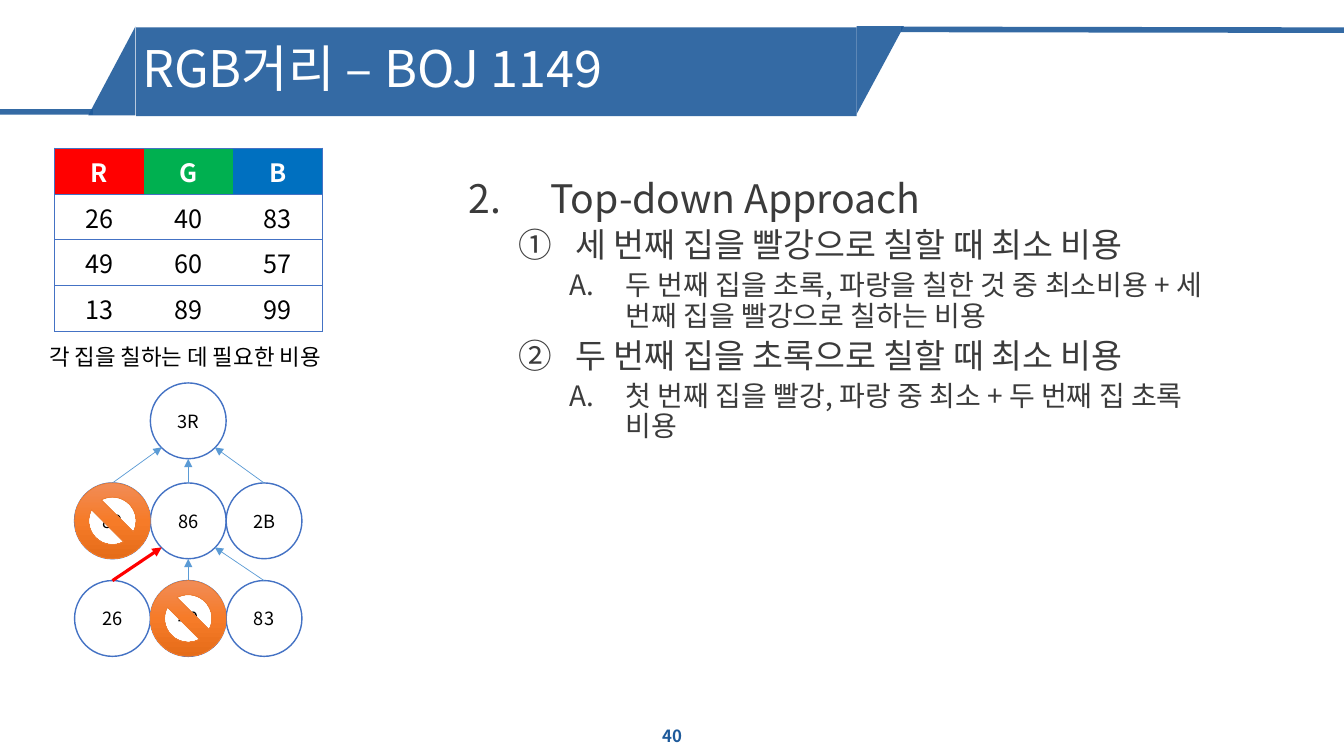
from lxml.etree import SubElement
from pptx import Presentation
from pptx.dml.color import RGBColor
from pptx.enum.shapes import MSO_CONNECTOR, MSO_SHAPE
from pptx.enum.text import MSO_ANCHOR, PP_ALIGN
from pptx.oxml.ns import qn
from pptx.util import Cm, Pt

FONT = "Noto Sans CJK KR"
NAVY = RGBColor(0x1E, 0x5A, 0x9B)
BLUE = RGBColor(0x44, 0x72, 0xC4)
SKY = RGBColor(0x5B, 0x9B, 0xD5)
RED = RGBColor(0xFF, 0x00, 0x00)
GREEN = RGBColor(0x00, 0xB0, 0x50)
AZURE = RGBColor(0x00, 0x70, 0xC0)
ORANGE = RGBColor(0xED, 0x7D, 0x31)
GRAY = RGBColor(0x3B, 0x3B, 0x3B)
BLACK = RGBColor(0x00, 0x00, 0x00)
WHITE = RGBColor(0xFF, 0xFF, 0xFF)
GLOW = {
    0: RGBColor(0xF1, 0x8C, 0x57),
    50: RGBColor(0xF6, 0x7B, 0x28),
    100: RGBColor(0xE5, 0x6C, 0x19),
}

SIZE = 1.91
LEFT = 1.88
TOPS = [9.65, 12.17, 14.63]
NODES = [(0, 1, "3R"), (1, 0, "89"), (1, 1, "86"), (1, 2, "2B"),
         (2, 1, "40"), (2, 0, "26"), (2, 2, "83")]
COSTS = [["R", "G", "B"], ["26", "40", "83"],
         ["49", "60", "57"], ["13", "89", "99"]]
HEADS = [RED, GREEN, AZURE]
LEVELS = [("arabicPeriod", 2.06, 2.06, 28),
          ("circleNumDbPlain", 2.69, 1.42, 24),
          ("alphaUcPeriod", 3.96, 1.42, 20)]
STEPS = [
    (0, "Top-down Approach"),
    (1, "세 번째 집을 빨강으로 칠할 때 최소 비용"),
    (2, "두 번째 집을 초록, 파랑을 칠한 것 중 최소비용 + 세 번째 집을 빨강으로 칠하는 비용"),
    (1, "두 번째 집을 초록으로 칠할 때 최소 비용"),
    (2, "첫 번째 집을 빨강, 파랑 중 최소 + 두 번째 집 초록 비용"),
]


def write(para, text, size=18, color=BLACK, bold=False, align=PP_ALIGN.LEFT, lead=None):
    """Put formatted text in a paragraph."""
    para.alignment = align
    if lead:
        para.line_spacing = lead
    run = para.add_run()
    run.text = text
    font = run.font
    font.size, font.bold, font.name = Pt(size), bold, FONT
    font.color.rgb = color
    SubElement(run._r.get_or_add_rPr(), qn("a:ea"), typeface=FONT)


def fade(shape):
    """Make the colours of a shape ten percent transparent."""
    for tint in shape.element.spPr.iter(qn("a:srgbClr")):
        SubElement(tint, qn("a:alpha"), val="90000")


def add_box(slide, box, anchor=MSO_ANCHOR.TOP):
    """Add a wrapping text box and return its frame."""
    frame = slide.shapes.add_textbox(*map(Cm, box)).text_frame
    frame.word_wrap = True
    frame.vertical_anchor = anchor
    return frame


def add_form(slide, kind, box, fill=None, line=None, width=1, turn=0):
    """Add a preset shape without shadow."""
    form = slide.shapes.add_shape(kind, *map(Cm, box))
    form.shadow.inherit = False
    form.rotation = turn
    if fill is not None:
        form.fill.solid()
        form.fill.fore_color.rgb = fill
    if line is None:
        form.line.fill.background()
    else:
        form.line.color.rgb = line
        form.line.width = Pt(width)
    return form


def add_line(slide, start, end, color, width, arrow=False):
    """Add a straight line, with an arrowhead if asked."""
    line = slide.shapes.add_connector(MSO_CONNECTOR.STRAIGHT, *map(Cm, start + end))
    line.line.color.rgb = color
    line.line.width = Pt(width)
    if arrow:
        SubElement(line.line._get_or_add_ln(), qn("a:tailEnd"), type="triangle")
    SubElement(line.element.spPr, qn("a:effectLst"))
    return line


def add_banner(slide):
    """Draw the title band with its slanted ends."""
    parts = [
        add_form(slide, MSO_SHAPE.RIGHT_TRIANGLE, (21.08, 1.17, 2.21, 1.19), NAVY, turn=90),
        add_line(slide, (2.34, 2.82), (0, 2.82), NAVY, 4),
        add_form(slide, MSO_SHAPE.RIGHT_TRIANGLE, (1.7, 1.19, 2.24, 1.19), NAVY, turn=270),
        add_line(slide, (33.87, 0.76), (22.71, 0.74), NAVY, 4),
        add_form(slide, MSO_SHAPE.RECTANGLE, (3.43, 0.69, 18.16, 2.24), NAVY),
    ]
    for part in parts:
        fade(part)


def add_steps(slide):
    """Write the numbered outline."""
    frame = add_box(slide, (11.56, 4.39, 19.94, 12.62))
    for i, (level, text) in enumerate(STEPS):
        mark, left, hang, size = LEVELS[level]
        para = frame.add_paragraph() if i else frame.paragraphs[0]
        para.level = level
        if i:
            para.space_before = Pt(5)
        props = para._p.get_or_add_pPr()
        props.set("marL", str(Cm(left)))
        props.set("indent", str(-Cm(hang)))
        SubElement(props, qn("a:buFont"), typeface="+mj-lt")
        bullet = SubElement(props, qn("a:buAutoNum"), type=mark)
        if level == 0:
            bullet.set("startAt", "2")
        write(para, text, size=size, color=GRAY, lead=0.9)


def edge(cell, sides):
    """Draw the given borders of a cell and hide the others."""
    props = cell._tc.get_or_add_tcPr()
    for i, side in enumerate("LRTB"):
        line = props.makeelement(qn("a:ln" + side), {"w": str(Pt(0.5))})
        props.insert(i, line)
        if side in sides:
            fill = SubElement(line, qn("a:solidFill"))
            SubElement(fill, qn("a:srgbClr"), val=str(BLUE))
        else:
            SubElement(line, qn("a:noFill"))


def add_costs(slide):
    """Add the table of painting costs."""
    box = map(Cm, (1.37, 3.73, 6.76, 4.62))
    table = slide.shapes.add_table(len(COSTS), len(HEADS), *box).table
    for r, row in enumerate(COSTS):
        for c, text in enumerate(row):
            cell = table.cell(r, c)
            cell.fill.solid()
            cell.fill.fore_color.rgb = WHITE if r else HEADS[c]
            edge(cell, "TB" + ("L", "", "R")[c])
            write(cell.text_frame.paragraphs[0], text, bold=r == 0,
                  color=BLACK if r else WHITE, align=PP_ALIGN.CENTER)


def spot(row, col):
    """Return the frame of a tree node."""
    return LEFT + col * SIZE, TOPS[row], SIZE, SIZE


def add_ban(slide, row, col):
    """Cross out a tree node."""
    ban = add_form(slide, MSO_SHAPE.NO_SYMBOL, spot(row, col), line=ORANGE, width=0.5)
    ban.fill.gradient()
    ban.fill.gradient_angle = 270
    stops = next(ban.element.spPr.iter(qn("a:gsLst")))
    stops.clear()
    for place, color in GLOW.items():
        stop = SubElement(stops, qn("a:gs"), pos=str(place * 1000))
        SubElement(stop, qn("a:srgbClr"), val=str(color))


def add_tree(slide):
    """Draw the nodes, the arrows and the crossed-out choices."""
    for row, col, text in NODES:
        node = add_form(slide, MSO_SHAPE.OVAL, spot(row, col), WHITE, BLUE)
        node.text_frame.vertical_anchor = MSO_ANCHOR.MIDDLE
        write(node.text_frame.paragraphs[0], text, size=13, align=PP_ALIGN.CENTER)
    mid = LEFT + 1.5 * SIZE
    for row in (1, 2):
        for side in (-1, 0, 1):
            best = (row, side) == (2, -1)
            drop = SIZE * (0.85 if side else 1)
            add_line(slide, (mid + side * SIZE, TOPS[row]),
                     (mid + side * SIZE * 0.35, TOPS[row - 1] + drop),
                     RED if best else SKY, 2.25 if best else 0.5, arrow=True)
    add_ban(slide, 1, 0)
    add_ban(slide, 2, 1)


def main():
    """Build the slide and save it."""
    deck = Presentation()
    deck.slide_width, deck.slide_height = Cm(33.87), Cm(19.05)
    slide = deck.slides.add_slide(deck.slide_layouts[6])
    add_banner(slide)
    page = add_box(slide, (13.13, 18.03, 7.62, 1.02), MSO_ANCHOR.MIDDLE)
    write(page.paragraphs[0], "40", size=12, color=NAVY, bold=True, align=PP_ALIGN.CENTER)
    title = add_box(slide, (3.33, 0.76, 18.16, 2.06), MSO_ANCHOR.MIDDLE)
    write(title.paragraphs[0], "RGB거리 – BOJ 1149", size=36, color=WHITE, lead=0.9)
    add_steps(slide)
    add_costs(slide)
    note = add_box(slide, (0.99, 8.53, 7.49, 0.94))
    write(note.paragraphs[0], "각 집을 칠하는 데 필요한 비용", size=16)
    add_tree(slide)
    deck.save("out.pptx")


if __name__ == "__main__":
    main()
